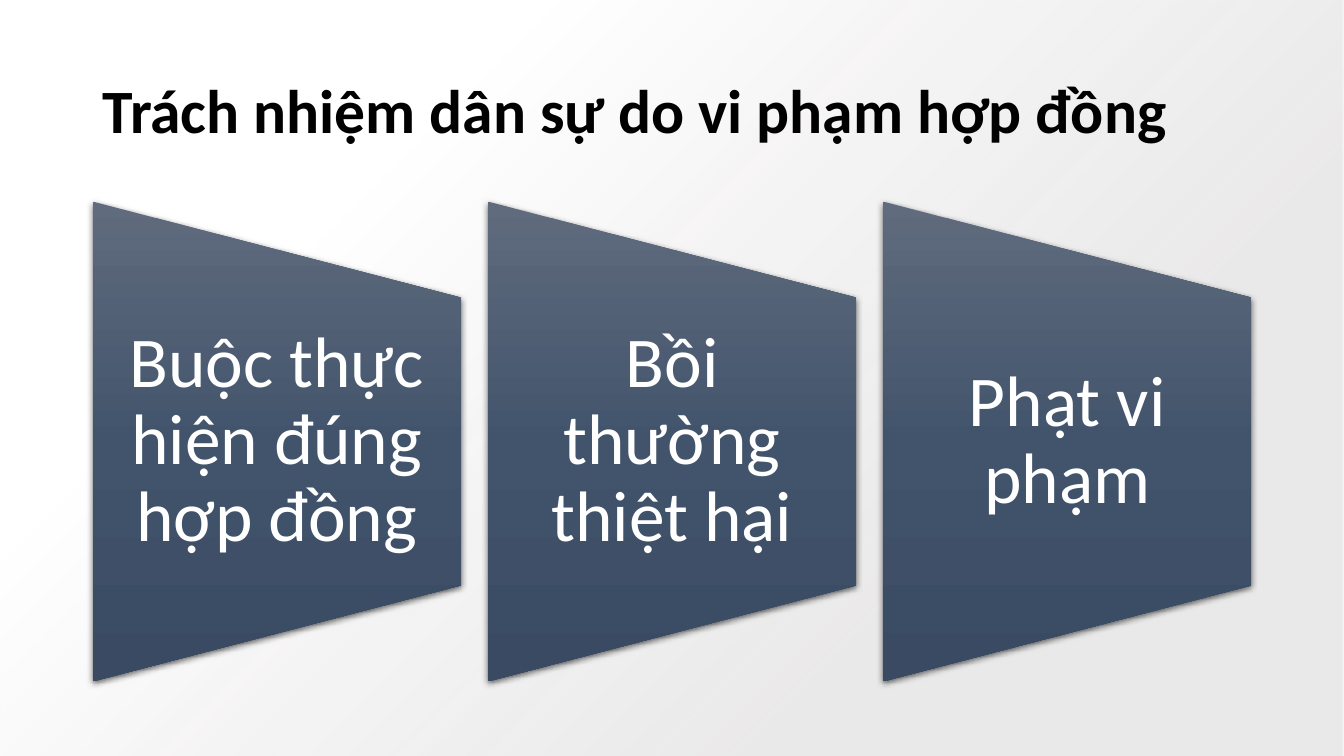
import pptx
import pptx.util
import pptx.oxml
import pptx.oxml.ns
import pptx.dml.color
import pptx.enum.shapes
import pptx.enum.text
from dataclasses import dataclass

Inches = pptx.util.Inches


@dataclass(frozen=True)
class Theme:
    font: str = "Calibri"
    title_size: int = 44
    panel_size: int = 51
    title_color: str = "000000"
    panel_text: str = "FFFFFF"
    # Gradient stops: position %, colour, opacity %
    backdrop: tuple = ((28, "E7E6E6", 84), (74, "FFFFFF", 100))
    panel: tuple = ((0, "606B7D", 100), (50, "42546C", 100), (100, "394A62", 100))


theme = Theme()
NS = pptx.oxml.ns.nsdecls("a")
FROM_CORNER = '<a:path path="circle"><a:fillToRect l="100000" t="100000"/></a:path>'
DOWNWARD = '<a:lin ang="5400000" scaled="0"/>'
SHADOW = (f'<a:effectLst {NS}><a:outerShdw blurRad="57150" dist="19050" dir="5400000" '
          'algn="ctr" rotWithShape="0"><a:srgbClr val="000000"><a:alpha val="63000"/>'
          '</a:srgbClr></a:outerShdw></a:effectLst>')


def add_gradient_shape(kind, left, top, width, height, stops, direction):
    sp = slide.shapes.add_shape(kind, Inches(left), Inches(top), Inches(width), Inches(height))
    sp.shadow.inherit = False
    sp.line.fill.background()
    stop_xml = "".join(
        f'<a:gs pos="{pos * 1000}"><a:srgbClr val="{color}">'
        f'<a:alpha val="{opacity * 1000}"/></a:srgbClr></a:gs>'
        for pos, color, opacity in stops)
    sp.fill.background()
    no_fill = sp.element.spPr.find(pptx.oxml.ns.qn("a:noFill"))
    sp.element.spPr.replace(no_fill, pptx.oxml.parse_xml(
        f'<a:gradFill {NS} rotWithShape="0"><a:gsLst>{stop_xml}</a:gsLst>{direction}</a:gradFill>'))
    return sp


def add_text(text, left, top, width, height, size, color, align, inset, bold=False):
    tf = slide.shapes.add_textbox(
        Inches(left), Inches(top), Inches(width), Inches(height)).text_frame
    tf.word_wrap = True
    tf.vertical_anchor = pptx.enum.text.MSO_ANCHOR.MIDDLE
    tf.margin_left = tf.margin_right = Inches(inset)
    tf.margin_top = tf.margin_bottom = 0
    p = tf.paragraphs[0]
    p.alignment = align
    p.line_spacing = 0.9
    r = p.add_run()
    r.text = text
    r.font.name = theme.font
    r.font.size = pptx.util.Pt(size)
    r.font.bold = bold
    r.font.color.rgb = pptx.dml.color.RGBColor.from_string(color)


prs = pptx.Presentation()
prs.slide_width = Inches(13.33)
prs.slide_height = Inches(7.5)
slide = prs.slides.add_slide(prs.slide_layouts[6])

# Backdrop
add_gradient_shape(pptx.enum.shapes.MSO_SHAPE.RECTANGLE, 0, 0, 13.33, 7.5,
                   theme.backdrop, FROM_CORNER)

# Title
add_text("Trách nhiệm dân sự do vi phạm hợp đồng", 0.92, 0.4, 11.5, 1.45,
         theme.title_size, theme.title_color, pptx.enum.text.PP_ALIGN.LEFT, 0.1, bold=True)

# Three remedies: trapezoids turned on their side, text kept upright
remedies = ["Buộc thực hiện đúng hợp đồng", "Bồi thường thiệt hại", "Phạt vi phạm"]
left, step, width, height, center_y = 0.92, 3.92, 3.65, 4.76, 4.38
text_height = 2.86
for i, remedy in enumerate(remedies):
    x = left + i * step
    sp = add_gradient_shape(pptx.enum.shapes.MSO_SHAPE.FLOWCHART_MANUAL_OPERATION,
                            x + (width - height) / 2, center_y - width / 2, height, width,
                            theme.panel, DOWNWARD)
    sp.rotation = 270
    effects = sp.element.spPr.find(pptx.oxml.ns.qn("a:effectLst"))
    sp.element.spPr.replace(effects, pptx.oxml.parse_xml(SHADOW))
    add_text(remedy, x, center_y - text_height / 2, width, text_height,
             theme.panel_size, theme.panel_text, pptx.enum.text.PP_ALIGN.CENTER, 0.35)

prs.save("out.pptx")
